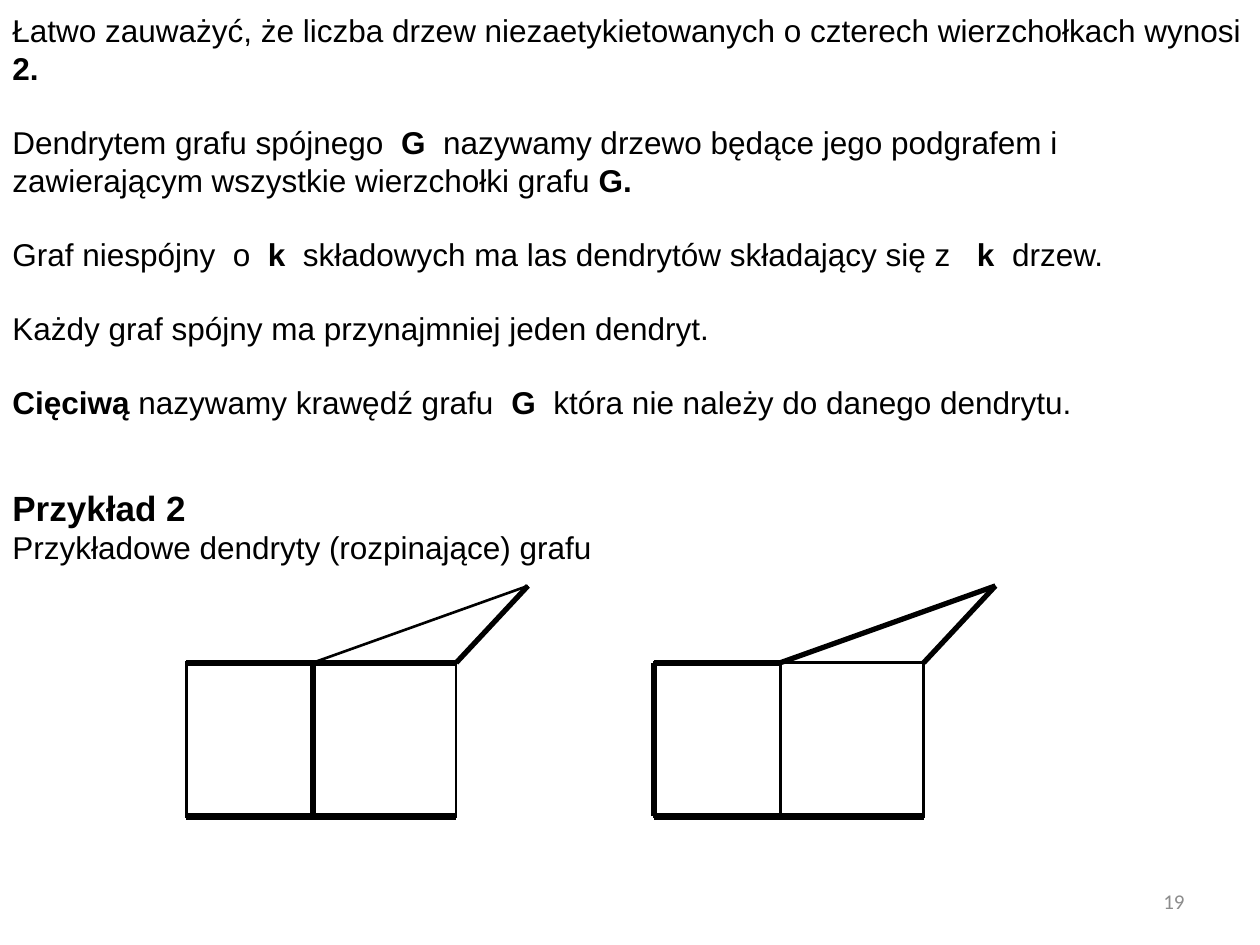
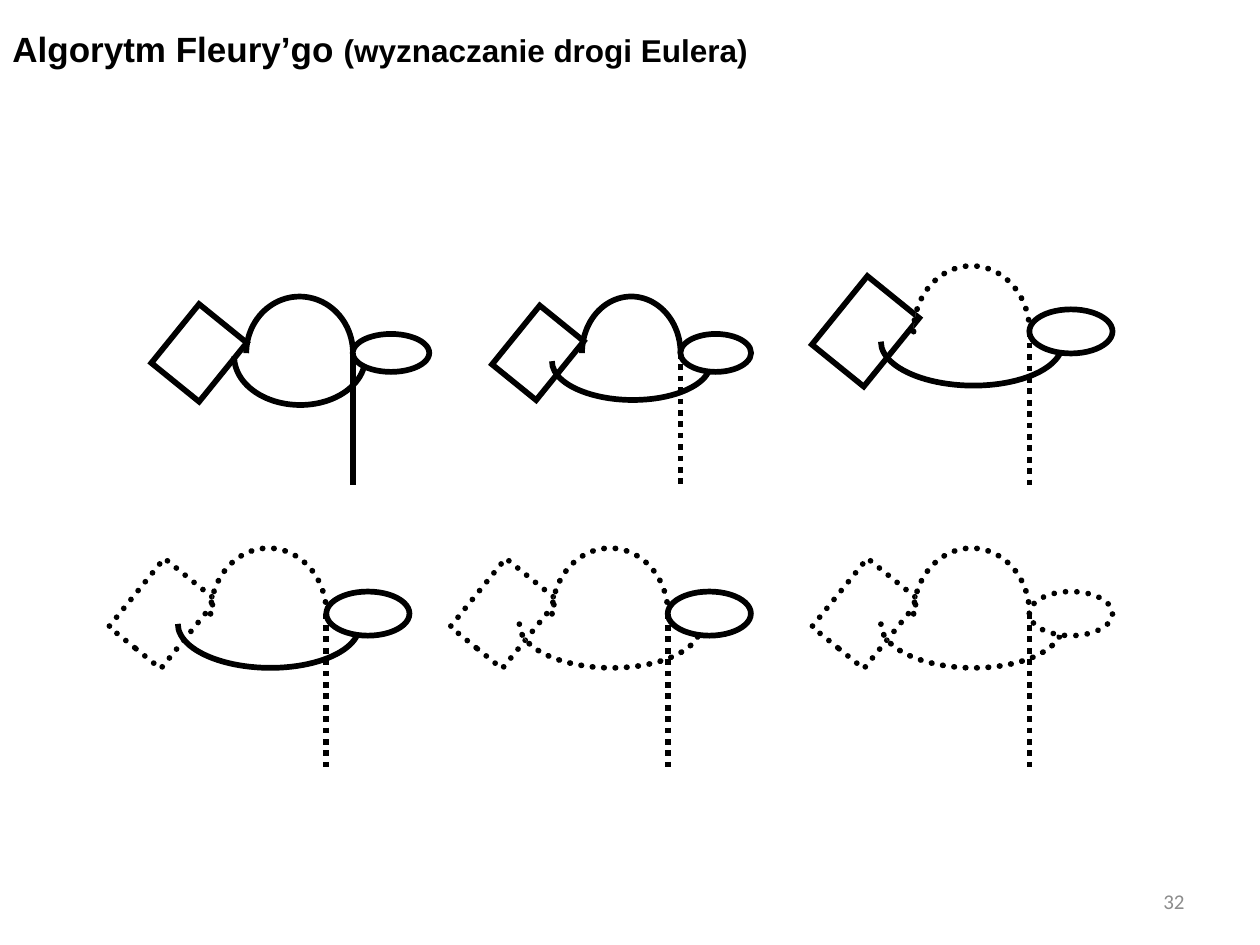
import dataclasses

import lxml.etree
import pptx
import pptx.dml.color
import pptx.enum.dml
import pptx.enum.shapes
import pptx.enum.text
import pptx.oxml.ns
import pptx.util

SHAPES = pptx.enum.shapes.MSO_SHAPE
ALIGN = pptx.enum.text.PP_ALIGN
ANCHOR = pptx.enum.text.MSO_ANCHOR


@dataclasses.dataclass(frozen=True)
class Theme:
    ink: str = "000000"
    paper: str = "FFFFFF"
    muted: str = "8C8C8C"
    font: str = "Arial"
    number_font: str = "Calibri"
    heading: int = 20
    body: int = 18
    number: int = 12
    blank_line: float = 20.7
    thin: float = 1.5
    slanted: float = 3
    heavy: float = 3.5
    tree: float = 3.25


THEME = Theme()
COLUMNS, ROWS = 10, 7.5  # the page grid, one inch to a step


def grid(steps):
    return pptx.util.Inches(steps)


def color(code):
    return pptx.dml.color.RGBColor.from_string(code)


def set_values(target, values):
    for name, value in values.items():
        setattr(target, name, value)


# Text

def add_text(slide, box, paragraphs, frame_format=None):
    """Each paragraph is (runs, format); each run is (text, font values)."""
    frame = slide.shapes.add_textbox(*map(grid, box)).text_frame
    set_values(frame, {"word_wrap": True, **(frame_format or {})})
    for index, (runs, paragraph_format) in enumerate(paragraphs):
        paragraph = frame.add_paragraph() if index else frame.paragraphs[0]
        set_values(paragraph, paragraph_format)
        for text, values in runs:
            run = paragraph.add_run()
            run.text = text
            font = {"name": THEME.font, "size": THEME.body, "bold": False,
                    "ink": THEME.ink, **values}
            run.font.color.rgb = color(font.pop("ink"))
            font["size"] = pptx.util.Pt(font["size"])
            set_values(run.font, font)


def add_page_number(slide, number):
    style = {"name": THEME.number_font, "size": THEME.number, "ink": THEME.muted}
    add_text(slide, (7.17, 6.95, 2.33, 0.4),
             [([(str(number), style)], {"alignment": ALIGN.RIGHT})],
             {"vertical_anchor": ANCHOR.MIDDLE})


# Lines and outlines

def style_line(item, weight, dotted=False):
    item.line.color.rgb = color(THEME.ink)
    item.line.width = pptx.util.Pt(weight)
    if dotted:
        item.line.dash_style = pptx.enum.dml.MSO_LINE.ROUND_DOT


def add_line(slide, start, end, weight, dotted=False):
    line = slide.shapes.add_connector(
        pptx.enum.shapes.MSO_CONNECTOR.STRAIGHT, *map(grid, (*start, *end)))
    style_line(line, weight, dotted)
    lxml.etree.SubElement(line._element.spPr, pptx.oxml.ns.qn("a:effectLst"))


def add_outline(slide, kind, center, size, weight, dotted=False, rotation=0):
    (x, y), (width, height) = center, size
    shape = slide.shapes.add_shape(
        kind, *map(grid, (x - width / 2, y - height / 2, width, height)))
    shape.shadow.inherit = False
    shape.rotation = rotation
    shape.fill.solid()
    shape.fill.fore_color.rgb = color(THEME.paper)
    style_line(shape, weight, dotted)
    stroke = shape.line._get_or_add_ln()
    if dotted:
        stroke.set("cap", "rnd")
    lxml.etree.SubElement(stroke, pptx.oxml.ns.qn("a:miter"), lim="800000")
    return shape


# Slide 1: spanning trees

VERTICES = {  # shares of the graph's box
    "top left": (0, 1 / 3), "top middle": (0.37, 1 / 3), "top right": (0.79, 1 / 3),
    "bottom left": (0, 1), "bottom middle": (0.37, 1), "bottom right": (0.79, 1),
    "apex": (1, 0),
}
THIN_EDGES = [("top middle", "apex"), ("apex", "top right"),
              ("top middle", "bottom middle")]
LEFT_TREE = [("top left", "top right"), ("top middle", "bottom middle"),
             ("bottom left", "bottom right"), ("apex", "top right")]
RIGHT_TREE = [("apex", "top middle"), ("top left", "top middle"),
              ("top left", "bottom left"), ("bottom left", "bottom right"),
              ("apex", "top right")]


def add_graph(slide, box, spanning_tree):
    left, top, width, height = box
    points = {name: (left + x * width, top + y * height)
              for name, (x, y) in VERTICES.items()}
    (x1, y1), (x2, y2) = points["top left"], points["bottom right"]
    add_outline(slide, SHAPES.RECTANGLE, ((x1 + x2) / 2, (y1 + y2) / 2),
                (x2 - x1, y2 - y1), THEME.thin)
    for start, end in THIN_EDGES:
        add_line(slide, points[start], points[end], THEME.thin)
    for start, end in spanning_tree:
        weight = THEME.slanted if start == "apex" else THEME.heavy
        add_line(slide, points[start], points[end], weight)


def build_spanning_tree_slide(slide):
    bold = {"bold": True}
    definitions = [
        [("Łatwo zauważyć, że liczba drzew niezaetykietowanych o czterech "
          "wierzchołkach wynosi ", {}), ("2.", bold)],
        [("Dendrytem grafu spójnego  ", {}), ("G  ", bold),
         ("nazywamy drzewo będące jego podgrafem i zawierającym wszystkie "
          "wierzchołki grafu", {}), (" G.", bold)],
        [("Graf niespójny  o  ", {}), ("k  ", bold),
         ("składowych ma las dendrytów składający się z ", {}),
         ("  k  ", bold), ("drzew.", {})],
        [("Każdy graf spójny ma przynajmniej jeden dendryt.", {})],
        [("Cięciwą ", bold), ("nazywamy krawędź grafu  ", {}), ("G  ", bold),
         ("która nie należy do danego dendrytu.", {})],
    ]
    gap = {"space_before": pptx.util.Pt(THEME.blank_line)}
    add_text(slide, (0, 0, COLUMNS, 3.74),
             [(runs, gap if index else {}) for index, runs in enumerate(definitions)],
             {"margin_top": grid(0.09)})
    justified = {"alignment": ALIGN.JUSTIFY}
    add_text(slide, (0, 3.44, 7.27, 3.8),
             [([("Przykład 2", {"size": THEME.heading, "bold": True})], justified),
              ([("Przykładowe dendryty (rozpinające) grafu", {})], justified)],
             {"margin_top": grid(0.42)})
    for left, spanning_tree in ((1.48, LEFT_TREE), (5.19, RIGHT_TREE)):
        add_graph(slide, (left, 4.65, 2.71, 1.83), spanning_tree)
    add_page_number(slide, 19)


# Slide 2: Fleury's algorithm

@dataclasses.dataclass(frozen=True)
class Step:
    junction: float  # column of the vertical edge
    foot: float  # row where that edge ends
    used: tuple  # edges already walked, drawn dotted
    scale: tuple = (1, 1)
    square: float = -1.3  # centre, measured from the junction
    low_arc: tuple = (0.34, 1.44)


STEPS = [
    Step(2.8, 3.85, (), (0.92, 0.86), -1.22, (0.38, 1.04)),
    Step(5.4, 3.85, ("stem",), (0.85, 0.86), -1.13, (0.3, 1.26)),
    Step(8.17, 3.85, ("stem", "high arc")),
    Step(2.59, 6.09, ("stem", "high arc", "square")),
    Step(5.3, 6.09, ("stem", "high arc", "square", "low arc")),
    Step(8.17, 6.09, ("stem", "high arc", "square", "low arc", "loop")),
]


def add_step(slide, step):
    across, down = step.scale
    x, y = step.junction, step.foot - 1.22 * down
    arc_x = x - 0.46 * across
    outlines = [
        ("square", SHAPES.RECTANGLE, (x + step.square, y),
         (0.53 * across, 0.7 * down), 39),
        ("low arc", SHAPES.MOON, (arc_x, y + 0.26 * down), step.low_arc, 270.7),
        ("high arc", SHAPES.MOON, (arc_x, y - 0.26 * down),
         (0.52 * down, 0.92 * across), 89.7),
        ("loop", SHAPES.OVAL, (x + 0.33 * across, y),
         (0.66 * across, 0.35 * down), 0),
    ]
    for name, kind, center, size, rotation in outlines:
        shape = add_outline(slide, kind, center, size, THEME.tree,
                            name in step.used, rotation)
        if kind == SHAPES.MOON:
            shape.adjustments[0] = 0
    add_line(slide, (x, y), (x, step.foot), THEME.tree, "stem" in step.used)


def build_fleury_slide(slide):
    heading = [("Algorytm Fleury’go ", {"size": THEME.heading, "bold": True}),
               ("(wyznaczanie drogi Eulera)", {"bold": True})]
    add_text(slide, (0, 0, 8.59, 0.61), [(heading, {"line_spacing": 1.5})])
    for step in STEPS:
        add_step(slide, step)
    add_page_number(slide, 32)


def main():
    presentation = pptx.Presentation()
    presentation.slide_width = grid(COLUMNS)
    presentation.slide_height = grid(ROWS)
    blank = presentation.slide_layouts[6]
    for build in (build_spanning_tree_slide, build_fleury_slide):
        build(presentation.slides.add_slide(blank))
    presentation.save("out.pptx")


if __name__ == "__main__":
    main()
